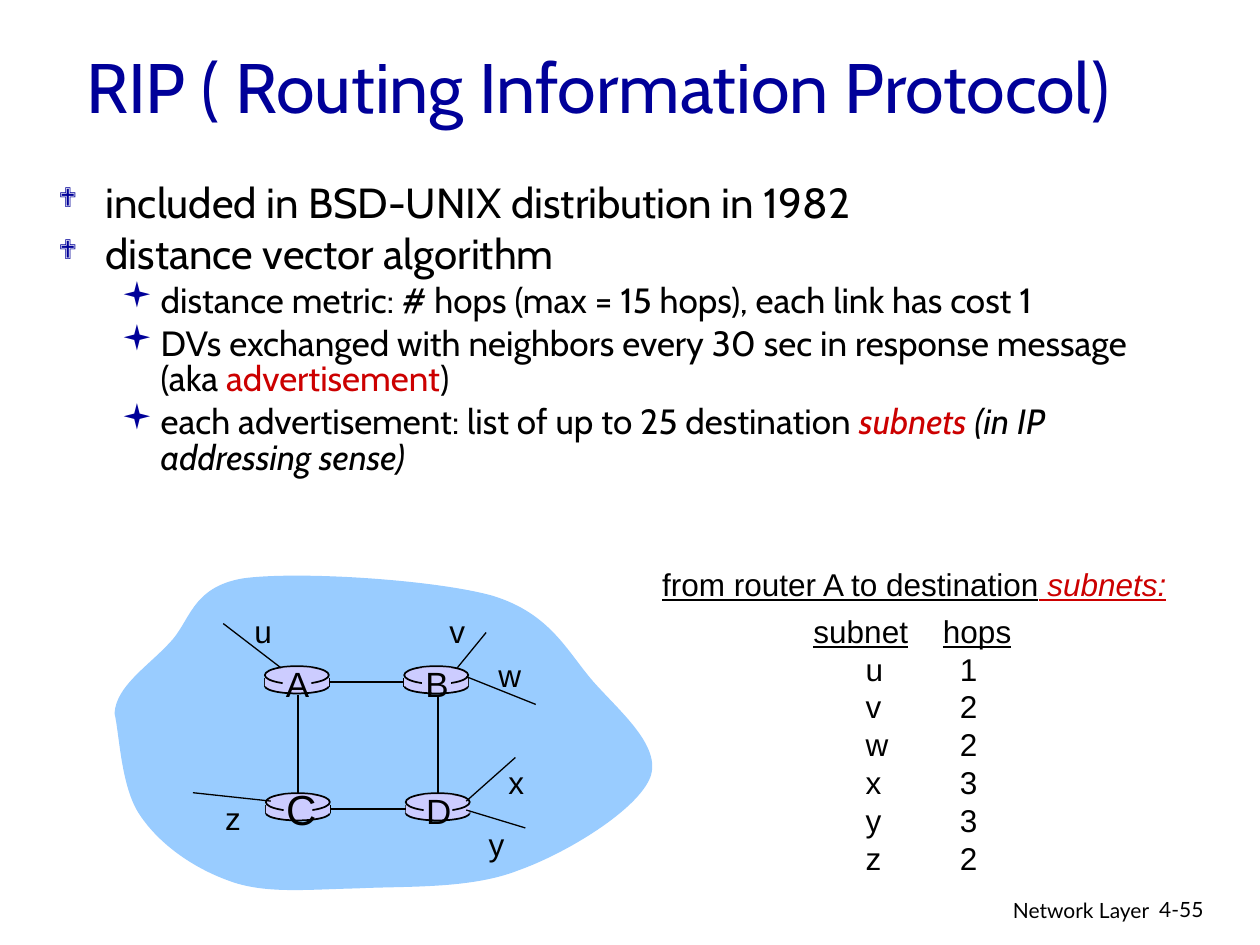
from typing import NamedTuple

from lxml.etree import SubElement
from pptx import Presentation
from pptx.dml.color import RGBColor
from pptx.enum.shapes import MSO_CONNECTOR, MSO_SHAPE
from pptx.enum.text import MSO_ANCHOR, PP_ALIGN
from pptx.oxml.ns import qn
from pptx.util import Cm, Pt

BLACK, NAVY, RED, SKY, LILAC = "000000", "000099", "CC0000", "99CCFF", "CCCCFF"
ROUTER_WIDTH = 1.29
RIGHT_SIDE, LEFT_SIDE = 3, 1


class Span(NamedTuple):
    text: str
    color: str = BLACK
    italic: bool = False
    underline: bool = False


class Bullet(NamedTuple):
    level: int
    spans: list[Span]


class BulletStyle(NamedTuple):
    char: str
    scale: int
    indent: float
    hanging: float
    size: int


class Router(NamedTuple):
    name: str
    left: float
    top: float
    size: int = 20
    right_edge: bool = True


class Subnet(NamedTuple):
    name: str
    hops: int
    start: tuple[float, float]
    end: tuple[float, float]
    label_at: tuple[float, float]


BULLET_STYLES = [BulletStyle("❖", 65, 0.95, 0.95, 24), BulletStyle("▪", 100, 2.06, 0.79, 20)]
BULLETS = [
    Bullet(0, [Span("included in BSD-UNIX distribution in 1982")]),
    Bullet(0, [Span("distance vector algorithm")]),
    Bullet(1, [Span("distance metric: # hops (max = 15 hops), each link has cost 1")]),
    Bullet(1, [Span("DVs exchanged with neighbors every 30 sec in response message (aka "),
               Span("advertisement", RED), Span(")")]),
    Bullet(1, [Span("each advertisement: list of up to 25 destination "),
               Span("subnets ", RED, True), Span("(in IP addressing sense)", BLACK, True)]),
]
ROUTERS = [Router("A", 5.34, 13.43), Router("B", 8.15, 13.43),
           Router("C", 5.36, 15.99, 24), Router("D", 8.18, 15.99, right_edge=False)]
SUBNETS = [
    Subnet("u", 1, (5.66, 13.46), (4.5, 12.57), (4.88, 12.22)),
    Subnet("v", 2, (9.22, 13.46), (9.8, 12.75), (8.81, 12.22)),
    Subnet("w", 2, (9.4, 13.64), (10.8, 14.2), (9.8, 13.11)),
    Subnet("x", 3, (9.4, 16.15), (10.39, 15.27), (10, 15.26)),
    Subnet("y", 3, (9.4, 16.33), (10.59, 16.69), (9.6, 16.51)),
    Subnet("z", 2, (5.46, 16.15), (3.89, 15.98), (4.29, 15.98)),
]
CLOUD_START = (2.31, 14.38)
CLOUD_CURVES = [
    ((2.34, 13.84), (2.97, 13.44), (3.4, 12.98)),
    ((3.84, 12.55), (3.84, 11.84), (4.9, 11.66)),
    ((5.99, 11.51), (8.74, 11.68), (9.93, 12.01)),
    ((11.1, 12.37), (11.43, 13.13), (11.96, 13.74)),
    ((12.5, 14.35), (13.34, 15.04), (13.11, 15.67)),
    ((12.85, 16.33), (11.43, 17.2), (10.44, 17.55)),
    ((9.47, 17.93), (8.15, 17.86), (7.19, 17.91)),
    ((6.2, 17.93), (5.33, 18.03), (4.6, 17.75)),
    ((3.86, 17.48), (3.2, 17), (2.82, 16.43)),
    ((2.44, 15.88), (2.41, 14.81), CLOUD_START),
]


def rgb(color: str) -> RGBColor:
    return RGBColor.from_string(color)


def add_spans(paragraph, spans: list[Span], size: int, font: str) -> None:
    for span in spans:
        run = paragraph.add_run()
        run.text = span.text
        run.font.name, run.font.size = font, Pt(size)
        run.font.color.rgb = rgb(span.color)
        if span.italic:
            run.font.italic = True
        if span.underline:
            run.font.underline = True


def add_box(slide, left: float, top: float, width: float, height: float, wrap: bool = False):
    """Add an empty text box and return its text frame."""
    frame = slide.shapes.add_textbox(Cm(left), Cm(top), Cm(width), Cm(height)).text_frame
    frame.word_wrap = wrap
    return frame


def add_label(slide, place: tuple[float, float, float, float], spans: list[Span],
              size: int = 18, font: str = "Arial", align=PP_ALIGN.LEFT) -> None:
    paragraph = add_box(slide, *place).paragraphs[0]
    paragraph.alignment = align
    add_spans(paragraph, spans, size, font)


def add_part(slide, kind, place: tuple[float, float, float, float], outlined: bool = False):
    """Add one lilac piece of a router."""
    part = slide.shapes.add_shape(kind, *map(Cm, place))
    part.shadow.inherit = False
    part.fill.solid()
    part.fill.fore_color.rgb = rgb(LILAC)
    if outlined:
        part.line.color.rgb, part.line.width = rgb(BLACK), Pt(1)
    else:
        part.line.fill.background()
    return part


def add_line(slide, start: tuple[float, float], end: tuple[float, float], width: float = 1):
    line = slide.shapes.add_connector(MSO_CONNECTOR.STRAIGHT, *map(Cm, (*start, *end)))
    line.line.color.rgb, line.line.width = rgb(BLACK), Pt(width)
    SubElement(line._element.spPr, qn("a:effectLst"))
    return line


def add_cloud(slide) -> None:
    """Lay out the control points as segments, then join each three into a curve."""
    builder = slide.shapes.build_freeform(*map(Cm, CLOUD_START))
    builder.add_line_segments([tuple(map(Cm, point)) for curve in CLOUD_CURVES for point in curve])
    cloud = builder.convert_to_shape()
    outline = next(cloud._element.iter(qn("a:path")))
    segments = outline.findall(qn("a:lnTo"))
    for first in range(0, len(segments), 3):
        curve = SubElement(outline, qn("a:cubicBezTo"))
        for segment in segments[first:first + 3]:
            curve.append(segment[0])
            outline.remove(segment)
    SubElement(outline, qn("a:close"))
    cloud.shadow.inherit = False
    cloud.fill.solid()
    cloud.fill.fore_color.rgb = rgb(SKY)
    cloud.line.fill.background()


def add_router(slide, router: Router):
    """Draw the router's disc and return its body rectangle."""
    left, top = router.left, router.top
    add_part(slide, MSO_SHAPE.OVAL, (left, top + 0.25, ROUTER_WIDTH, 0.3), True)
    edges = [left, left + ROUTER_WIDTH] if router.right_edge else [left]
    for x in edges:
        add_line(slide, (x, top + 0.23), (x, top + 0.41))
    body = add_part(slide, MSO_SHAPE.RECTANGLE, (left, top + 0.23, ROUTER_WIDTH, 0.18))
    add_part(slide, MSO_SHAPE.OVAL, (left, top, ROUTER_WIDTH, 0.36), True)
    return body


def add_router_name(slide, router: Router) -> None:
    add_part(slide, MSO_SHAPE.RECTANGLE, (router.left + 0.36, router.top + 0.03, 0.58, 0.48))
    rise = 0.32 if router.size > 20 else 0.2
    add_label(slide, (router.left + 0.16, router.top - rise, 1, 1.09),
              [Span(router.name)], router.size, align=PP_ALIGN.CENTER)


def add_network(slide) -> None:
    add_cloud(slide)
    bodies = {router.name: add_router(slide, router) for router in ROUTERS}
    for north, south in zip(ROUTERS[:2], ROUTERS[2:]):
        x = south.left + ROUTER_WIDTH / 2
        add_line(slide, (x, north.top + 0.59), (x, south.top))
    for west, east in ("CD", "AB"):
        link = add_line(slide, (0, 0), (1, 1))
        link.begin_connect(bodies[west], RIGHT_SIDE)
        link.end_connect(bodies[east], LEFT_SIDE)
    for router in reversed(ROUTERS):
        add_router_name(slide, router)
    for subnet in SUBNETS:
        add_line(slide, subnet.start, subnet.end, 0.75)
        add_label(slide, (*subnet.label_at, 0.86, 1.02), [Span(subnet.name)])


def add_bullets(slide) -> None:
    frame = add_box(slide, 0.93, 3.58, 23.24, 4.7, wrap=True)
    for index, bullet in enumerate(BULLETS):
        style = BULLET_STYLES[bullet.level]
        paragraph = frame.add_paragraph() if index else frame.paragraphs[0]
        paragraph.level = bullet.level
        props = paragraph._p.get_or_add_pPr()
        props.set("marL", str(Cm(style.indent)))
        props.set("indent", str(-Cm(style.hanging)))
        SubElement(SubElement(props, qn("a:buClr")), qn("a:srgbClr"), val=NAVY)
        SubElement(props, qn("a:buSzPct"), val=str(style.scale * 1000))
        SubElement(props, qn("a:buFont"), typeface="Wingdings", charset="2")
        SubElement(props, qn("a:buChar"), char=style.char)
        paragraph.line_spacing = 0.85
        if index:
            paragraph.space_before = Pt(style.size * 0.2)
        add_spans(paragraph, bullet.spans, style.size, "Cabin")


def add_hop_list(slide) -> None:
    frame = add_box(slide, 16.15, 12.21, 4.5, 6.35)
    header = [Span("subnet", underline=True), Span("\t"), Span("hops", underline=True)]
    rows = [([2.61], header)]
    rows += [([1.05, 2.95], [Span(f"\t{subnet.name}\t{subnet.hops}")]) for subnet in SUBNETS]
    for index, (stops, spans) in enumerate(rows):
        paragraph = frame.add_paragraph() if index else frame.paragraphs[0]
        tabs = SubElement(paragraph._p.get_or_add_pPr(), qn("a:tabLst"))
        for stop in stops:
            SubElement(tabs, qn("a:tab"), pos=str(Cm(stop)), algn="l")
        add_spans(paragraph, spans, 18, "Arial")


def main() -> None:
    deck = Presentation()
    deck.slide_width, deck.slide_height = Cm(25.4), Cm(19.05)
    slide = deck.slides.add_slide(deck.slide_layouts[5])
    title = slide.shapes.title
    title.left, title.top, title.width, title.height = map(Cm, (1.48, 0.42, 22.71, 2.62))
    title.text_frame.vertical_anchor = MSO_ANCHOR.MIDDLE
    heading = title.text_frame.paragraphs[0]
    heading.alignment = PP_ALIGN.LEFT
    add_spans(heading, [Span("RIP ( Routing Information Protocol)", NAVY)], 40, "Cabin")
    add_bullets(slide)
    add_network(slide)
    add_hop_list(slide)
    add_label(slide, (13.1, 11.26, 10.74, 1.02),
              [Span("from router A to destination", underline=True),
               Span(" ", RED, underline=True), Span("subnets:", RED, True, True)])
    add_label(slide, (15.37, 17.96, 8.05, 0.79), [Span("Network Layer")], 12, "Lato", PP_ALIGN.RIGHT)
    add_label(slide, (23.12, 17.95, 1.88, 0.76), [Span("4-55")], 12, "Lato")
    deck.save("out.pptx")


if __name__ == "__main__":
    main()
